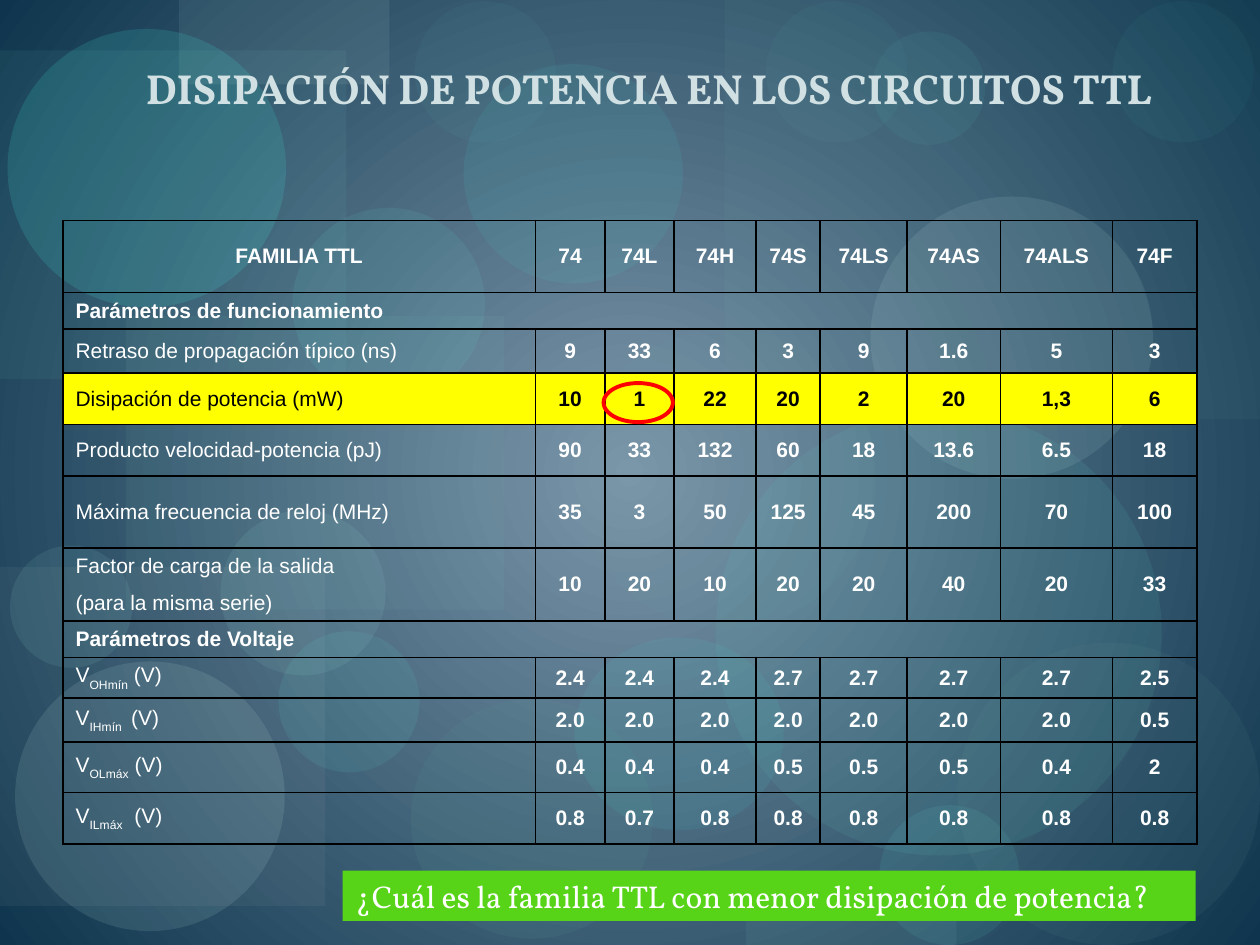
from pptx import Presentation
from pptx.dml.color import RGBColor
from pptx.enum.shapes import MSO_SHAPE
from pptx.enum.text import MSO_ANCHOR, MSO_AUTO_SIZE, PP_ALIGN
from pptx.oxml import parse_xml
from pptx.oxml.ns import nsdecls, qn
from pptx.util import Inches, Pt
from lxml.etree import SubElement

# Grid of 10 columns by 7.5 rows over the slide
COLS, ROWS = 10, 7.5
UNIT = Inches(10) // COLS
WHITE, BLACK, YELLOW = "FFFFFF", "000000", "FFFF00"
RECT, OVAL = MSO_SHAPE.RECTANGLE, MSO_SHAPE.OVAL

# Shape, box, colour, opacity in percent; back to front
BACKDROP = [
    (RECT, (1, 2.51, 3, 2.33), "79B5B0", 9),
    (OVAL, (3.26, 5.55, 1.92, 1.9), "549791", 13),
    (RECT, (5.75, 0, 4.25, 3.33), "79B5B0", 6),
    (RECT, (0, 4.5, 2.58, 2.69), "B2B7BA", 8),
    (OVAL, (4.57, 2.61, 2.38, 2.38), "70A39E", 8),
    (OVAL, (6.98, 6.39, 1.11, 1.11), "65E8DC", 9),
    (OVAL, (6.91, 1.56, 2.24, 2.24), "C1E8E4", 11),
    (OVAL, (0.12, 5.25, 2.14, 2.14), "C1E8E4", 12),
    (OVAL, (2.21, 5.01, 1.12, 1.12), "65E8DC", 9),
    (OVAL, (4.56, 5.06, 1.66, 1.53), "44EADC", 8),
    (RECT, (0, 0.4, 2.75, 2.61), "77D6CE", 7),
    (RECT, (1.42, 0, 1.67, 0.67), "BED7D4", 10),
    (OVAL, (0.06, 0.23, 2.21, 2.21), "44EADC", 15),
    (OVAL, (0.08, 4.33, 0.97, 0.97), "97DCD6", 10),
    (OVAL, (2.32, 1.65, 1.53, 1.53), "65E8DC", 9),
    (OVAL, (3.68, 0.51, 1.74, 1.74), "44EADC", 8),
    (OVAL, (5.68, 3.25, 3.54, 3.54), "61CDC4", 10),
    (OVAL, (6.08, 0.01, 1.12, 1.12), "65E8DC", 4),
    (OVAL, (7.6, 5.1, 2.4, 2.4), "70A39E", 8),
    (OVAL, (1.75, 4.05, 1.31, 1.31), "97DCD6", 10),
    (OVAL, (6.92, 0.25, 0.9, 0.9), "65E8DC", 6),
    (OVAL, (8.83, 0.01, 1.12, 1.12), "65E8DC", 4),
    (RECT, (5.92, 6.92, 1.67, 0.58), "79B5B0", 10),
    (OVAL, (3.29, 0.01, 1.12, 1.12), "65E8DC", 4),
]

COL_WIDTHS = [3.75, 0.55, 0.55, 0.65, 0.51, 0.69, 0.74, 0.89, 0.67]
# Row height, label (subscript between bars), values
TABLE = [
    (0.57, "FAMILIA TTL", "74 74L 74H 74S 74LS 74AS 74ALS 74F"),
    (0.29, "Parámetros de funcionamiento", ""),
    (0.35, "Retraso de propagación típico (ns)", "9 33 6 3 9 1.6 5 3"),
    (0.41, "Disipación de potencia (mW)", "10 1 22 20 2 20 1,3 6"),
    (0.41, "Producto velocidad-potencia (pJ)", "90 33 132 60 18 13.6 6.5 18"),
    (0.57, "Máxima frecuencia de reloj (MHz)", "35 3 50 125 45 200 70 100"),
    (0.29, "Factor de carga de la salida", "10 20 10 20 20 40 20 33"),
    (0.29, "(para la misma serie)", ""),
    (0.29, "Parámetros de Voltaje", ""),
    (0.32, "V|OHmín| (V)", "2.4 2.4 2.4 2.7 2.7 2.7 2.7 2.5"),
    (0.35, "V|IHmín | (V)", "2.0 2.0 2.0 2.0 2.0 2.0 2.0 0.5"),
    (0.4, "V|OLmáx| (V)", "0.4 0.4 0.4 0.5 0.5 0.5 0.4 2"),
    (0.41, "V|ILmáx|  (V)", "0.8 0.7 0.8 0.8 0.8 0.8 0.8 0.8"),
]
HEADER, SECTIONS, HIGHLIGHT, SPLIT = 0, (1, 8), 3, 6


def rgb(code):
    return RGBColor.from_string(code)


def place(box):
    return [round(v * UNIT) for v in box]


def add_text(tf, text, size=12, font="Arial", color=WHITE, bold=False,
             align=PP_ALIGN.LEFT):
    """Write one paragraph; every second part between bars is a subscript."""
    p = tf.paragraphs[0]
    p.alignment = align
    for i, part in enumerate(text.split("|")):
        r = p.add_run()
        r.text = part
        r.font.size, r.font.name, r.font.bold = Pt(size), font, bold
        r.font.color.rgb = rgb(color)
        if i % 2:
            r.font._element.set("baseline", "-30000")


def add_figure(s, kind, box, fill=None, opacity=100, line=None):
    sp = s.shapes.add_shape(kind, *place(box))
    sp.shadow.inherit = False
    if fill:
        sp.fill.solid()
        sp.fill.fore_color.rgb = rgb(fill)
        if opacity < 100:
            clr = sp._element.spPr.find(".//" + qn("a:srgbClr"))
            SubElement(clr, qn("a:alpha"), val=str(opacity * 1000))
    else:
        sp.fill.background()
    if line:
        sp.line.color.rgb = rgb(line)
        sp.line.width = Pt(2.25)
    else:
        sp.line.fill.background()
    return sp


def add_backdrop(s):
    # Radial gradient from the centre
    fill = s.background.fill
    fill.gradient()
    for stop, color, pos in zip(fill.gradient_stops, ("7B96AA", "0E354D"), (0, 1)):
        stop.color.rgb = rgb(color)
        stop.position = pos
    grad = s._element.find(".//" + qn("a:gradFill"))
    lin = grad.find(qn("a:lin"))
    grad.replace(lin, parse_xml(
        f'<a:path {nsdecls("a")} path="circle">'
        '<a:fillToRect l="50000" t="50000" r="50000" b="50000"/></a:path>'))
    # Translucent circles and panels
    for kind, box, color, opacity in BACKDROP:
        add_figure(s, kind, box, color, opacity)


def set_borders(cell, sides):
    tcPr = cell._tc.get_or_add_tcPr()
    for side in "LRTB":
        width = Pt(1) if side in sides else 0
        ink = (f'<a:solidFill><a:srgbClr val="{BLACK}"/></a:solidFill>'
               if width else "<a:noFill/>")
        tcPr.append(parse_xml(
            f'<a:ln{side} {nsdecls("a")} w="{width}">{ink}</a:ln{side}>'))


def fill_cell(cell, row, col, text):
    # The two-line label has no rule between its rows
    sides = "LRTB"
    if col == 0 and row in (SPLIT, SPLIT + 1):
        sides = "LRT" if row == SPLIT else "LRB"
    set_borders(cell, sides)
    if row == HIGHLIGHT:
        cell.fill.solid()
        cell.fill.fore_color.rgb = rgb(YELLOW)
    else:
        cell.fill.background()
    cell.vertical_anchor = MSO_ANCHOR.BOTTOM if row == SECTIONS[0] else MSO_ANCHOR.MIDDLE
    if text:
        add_text(cell.text_frame, text,
                 color=BLACK if row == HIGHLIGHT else WHITE,
                 bold=col > 0 or row == HEADER or row in SECTIONS,
                 align=PP_ALIGN.CENTER if col or row == HEADER else PP_ALIGN.LEFT)


def add_family_table(s, box):
    n = len(COL_WIDTHS)
    table = s.shapes.add_table(len(TABLE), n, *place(box)).table
    table.first_row = table.horz_banding = False
    for column, width in zip(table.columns, COL_WIDTHS):
        column.width = round(width * UNIT)
    for row, (height, label, values) in enumerate(TABLE):
        table.rows[row].height = round(height * UNIT)
        texts = [label] + (values.split() or [""] * (n - 1))
        for col, text in enumerate(texts):
            fill_cell(table.cell(row, col), row, col, text)
    # Section headings span the table, load factors span two rows
    for row in SECTIONS:
        table.cell(row, 0).merge(table.cell(row, n - 1))
    for col in range(1, n):
        table.cell(SPLIT, col).merge(table.cell(SPLIT + 1, col))


def add_question(s, box):
    tf = add_figure(s, RECT, box, "57D418").text_frame
    tf.word_wrap = False
    tf.auto_size = MSO_AUTO_SIZE.SHAPE_TO_FIT_TEXT
    tf.vertical_anchor = MSO_ANCHOR.TOP
    add_text(tf, "¿Cuál es la familia TTL con menor disipación de potencia?",
             size=18, font="Vollkorn")


def add_title(s, box):
    tf = s.shapes.add_textbox(*place(box)).text_frame
    tf.word_wrap = True
    add_text(tf, "DISIPACIÓN DE POTENCIA EN LOS CIRCUITOS TTL", size=24,
             font="Vollkorn", color="D1E1E3", bold=True, align=PP_ALIGN.CENTER)


def main():
    prs = Presentation()
    prs.slide_width, prs.slide_height = place((COLS, ROWS))
    s = prs.slides.add_slide(prs.slide_layouts[6])
    add_backdrop(s)
    add_family_table(s, (0.5, 1.75, 9, 4.95))
    # Ring around the lowest dissipation
    add_figure(s, OVAL, (4.79, 3.04, 0.55, 0.31), line="FF0000")
    add_question(s, (2.72, 6.91, 6.77, 0.4))
    add_title(s, (0.3, 0.45, 9.7, 0.9))
    prs.save("out.pptx")


if __name__ == "__main__":
    main()
